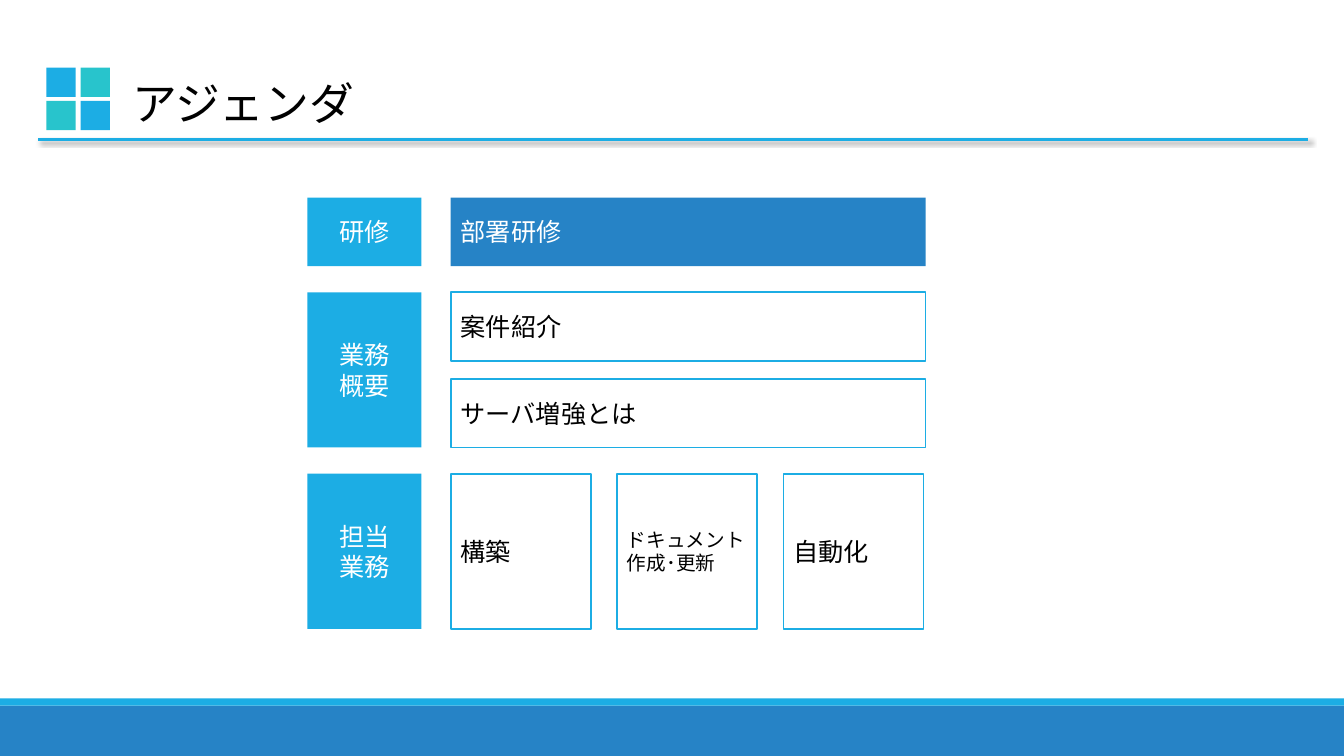
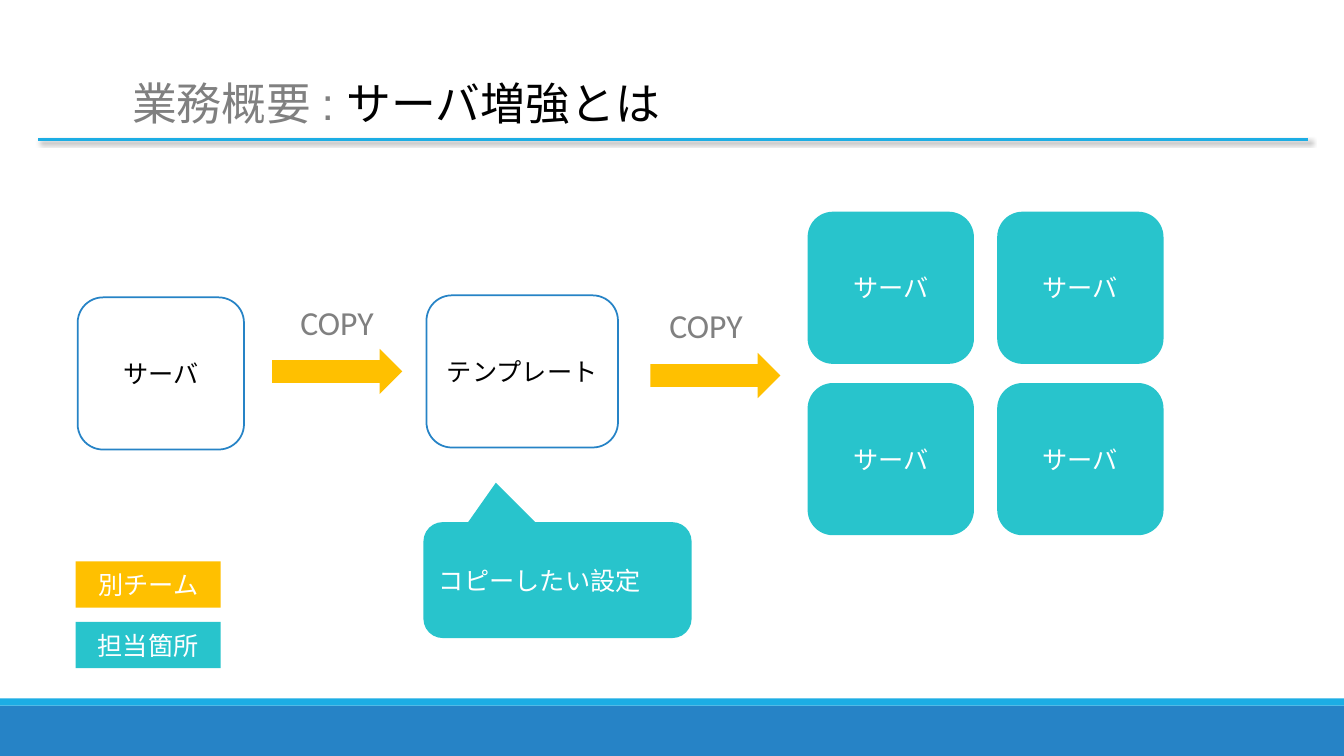
from itertools import product

from pptx import Presentation
from pptx.dml.color import RGBColor
from pptx.enum.shapes import MSO_CONNECTOR as Link, MSO_SHAPE as Kind
from pptx.enum.text import MSO_ANCHOR as Anchor, MSO_AUTO_SIZE as Fit, PP_ALIGN as Align
from pptx.oxml import parse_xml
from pptx.oxml.ns import nsdecls
from pptx.util import Inches, Pt

SKY, BLUE, TEAL, GOLD = "1CADE4", "2683C6", "28C4CC", "FFC000"
WHITE, BLACK, GRAY = "FFFFFF", "000000", "808080"
SHADE = (
    f'<a:effectLst {nsdecls("a")}>'
    '<a:outerShdw blurRad="38100" dist="38100" dir="2700000" algn="tl">'
    '<a:srgbClr val="000000"><a:alpha val="60000"/></a:srgbClr>'
    '</a:outerShdw></a:effectLst>'
)


def color(code):
    return RGBColor.from_string(code)


def span(*nums):
    return [Inches(num) for num in nums]


class Deck:
    def __init__(self):
        self.file = Presentation()
        self.file.slide_width, self.file.slide_height = span(13.33, 7.5)
        self.base = self.file.slide_layouts[5]
        self.slide = None

    def style(self):
        head = self.base.placeholders[0]
        head.left, head.top, head.width, head.height = span(1.21, 0.7, 11.76, 0.64)
        tree = self.base.shapes.element
        parts = [
            self.shape((0, 7, 13.33, 0.5), BLUE),
            self.shape((0, 6.93, 13.33, 0.07), SKY),
            self.logo(0.46, 0.67),
            self.rule(0.38, 1.38, 12.97),
        ]
        for part in parts:
            tree.append(part.element)

    def logo(self, left, top):
        group = self.slide.shapes.add_group_shape()
        for row, col in product(range(2), repeat=2):
            fill = SKY if row == col else TEAL
            box = (left + col * 0.34, top + row * 0.33, 0.29, 0.29)
            self.shape(box, fill, home=group.shapes)
        return group

    def rule(self, left, top, right):
        line = self.slide.shapes.add_connector(
            Link.STRAIGHT, *span(left, top, right, top))
        line.line.color.rgb = color(SKY)
        line.line.width = Pt(2)
        line.element.spPr.append(parse_xml(SHADE))
        return line

    def start(self, *runs):
        first = self.slide is None
        self.slide = self.file.slides.add_slide(self.base)
        if first:
            self.style()
        frame = self.slide.shapes.title.text_frame
        frame.auto_size = Fit.NONE
        frame.vertical_anchor = Anchor.MIDDLE
        para = frame.paragraphs[0]
        para.alignment = Align.LEFT
        para.font.name = "Arial"
        para.font.size = Pt(32)
        for text, ink in runs:
            run = para.add_run()
            run.text = text
            run.font.color.rgb = color(ink)

    def shape(self, box, fill, edge=None, kind=Kind.RECTANGLE, home=None):
        item = (home or self.slide.shapes).add_shape(kind, *span(*box))
        item.shadow.inherit = False
        item.fill.solid()
        item.fill.fore_color.rgb = color(fill)
        if edge:
            item.line.color.rgb = color(edge)
            item.line.width = Pt(1.25)
        else:
            item.line.fill.background()
        return item

    def words(self, frame, text, ink, size=18, align=Align.LEFT):
        frame.word_wrap = True
        para = frame.paragraphs[0]
        para.text = text
        para.alignment = align
        para.font.name = "Calibri"
        para.font.size = Pt(size)
        para.font.color.rgb = color(ink)

    def card(self, text, box, fill=WHITE, edge=None, size=18,
             align=Align.CENTER, kind=Kind.RECTANGLE):
        item = self.shape(box, fill, edge, kind)
        item.text_frame.vertical_anchor = Anchor.MIDDLE
        self.words(item.text_frame, text, BLACK if fill == WHITE else WHITE, size, align)
        return item

    def label(self, text, box):
        item = self.slide.shapes.add_textbox(*span(*box))
        self.words(item.text_frame, text, GRAY, 24)

    def arrow(self, left, top):
        self.shape((left, top, 1.29, 0.45), GOLD, kind=Kind.RIGHT_ARROW)


def agenda(deck):
    deck.start(("アジェンダ", BLACK))
    for text, top, high in (
        ("研修", 1.96, 0.68), ("業務\v概要", 2.9, 1.54), ("担当\v業務", 4.7, 1.54),
    ):
        deck.card(text, (3.05, top, 1.13, high), SKY)
    for text, top, fill, edge in (
        ("部署研修", 1.96, BLUE, None),
        ("案件紹介", 2.9, WHITE, SKY),
        ("サーバ増強とは", 3.76, WHITE, SKY),
    ):
        deck.card(text, (4.47, top, 4.71, 0.68), fill, edge, align=Align.LEFT)
    tasks = (("構築", 18), ("ドキュメント作成･更新", 14), ("自動化", 18))
    for col, (text, size) in enumerate(tasks):
        box = (4.47 + col * 1.65, 4.7, 1.39, 1.54)
        deck.card(text, box, WHITE, SKY, size, Align.LEFT)


def server(deck):
    deck.start(("業務概要 : ", GRAY), ("サーバ増強とは", BLACK))
    soft = Kind.ROUNDED_RECTANGLE
    deck.card("サーバ", (0.77, 2.95, 1.65, 1.51), WHITE, BLUE, kind=soft)
    deck.card("テンプレート", (4.23, 2.93, 1.9, 1.51), WHITE, BLUE, kind=soft)
    for left, top in ((2.7, 3.46), (6.45, 3.5)):
        deck.arrow(left, top)
    for left, top in ((2.88, 2.95), (6.54, 2.98)):
        deck.label("COPY", (left, top, 0.94, 0.5))
    for left, top in product((8.01, 9.89), (2.1, 3.8)):
        deck.card("サーバ", (left, top, 1.65, 1.51), TEAL, kind=soft)
    note = deck.card("コピーしたい設定", (4.2, 5.18, 2.66, 1.15), TEAL,
                     align=Align.LEFT, kind=Kind.ROUNDED_RECTANGULAR_CALLOUT)
    note.adjustments[0], note.adjustments[1] = -0.23, -0.84
    for text, top, fill in (("別チーム", 5.57, GOLD), ("担当箇所", 6.17, TEAL)):
        deck.card(text, (0.75, top, 1.44, 0.46), fill)


def main():
    deck = Deck()
    agenda(deck)
    server(deck)
    deck.file.save("out.pptx")


if __name__ == "__main__":
    main()
